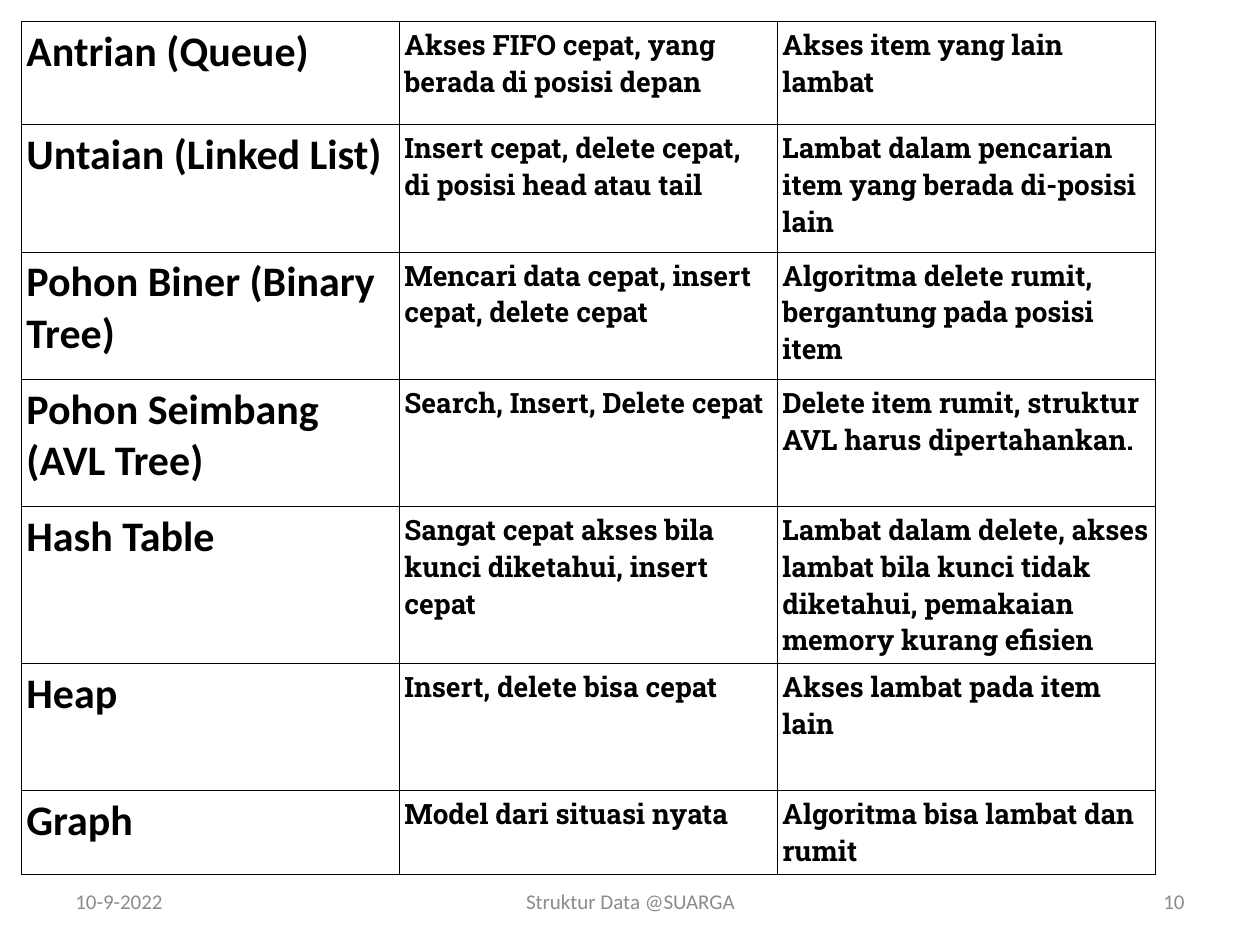
from dataclasses import dataclass

from lxml.etree import SubElement
from pptx import Presentation
from pptx.dml.color import RGBColor as RGB
from pptx.enum.text import MSO_ANCHOR as Anchor, PP_ALIGN as Align
from pptx.oxml.ns import qn
from pptx.util import Inches, Pt


@dataclass(frozen=True)
class Theme:
    """Colours, fonts and type sizes of the slide."""
    ink: RGB = RGB(0x00, 0x00, 0x00)
    muted: RGB = RGB(0x8C, 0x8C, 0x8C)
    sans: str = "Calibri"
    slab: str = "Roboto Slab"
    name_size: int = 24
    body_size: int = 16
    footer_size: int = 12
    border: float = 0.5


THEME = Theme()
NAME = dict(name=THEME.sans, size=Pt(THEME.name_size), bold=True)
BODY = dict(name=THEME.slab, size=Pt(THEME.body_size), bold=True)
FOOTER = dict(name=THEME.sans, size=Pt(THEME.footer_size), bold=False)
INSETS = {f"margin_{side}": Inches(0.04) for side in ("left", "top", "right", "bottom")}

ROWS = [
    (0.82, "Antrian (Queue)", "Akses FIFO cepat, yang berada di posisi depan",
     "Akses item yang lain lambat"),
    (1.01, "Untaian (Linked List)", "Insert cepat, delete cepat, di posisi head atau tail",
     "Lambat dalam pencarian item yang berada di-posisi lain"),
    (1.01, "Pohon Biner (Binary Tree)", "Mencari data cepat, insert cepat, delete cepat",
     "Algoritma delete rumit, bergantung pada posisi item"),
    (1.01, "Pohon Seimbang (AVL Tree)", "Search, Insert, Delete cepat",
     "Delete item rumit, struktur AVL harus dipertahankan."),
    (1.01, "Hash Table", "Sangat cepat akses bila kunci diketahui, insert cepat",
     "Lambat dalam delete, akses lambat bila kunci tidak diketahui, "
     "pemakaian memory kurang efisien"),
    (1.01, "Heap", "Insert, delete bisa cepat", "Akses lambat pada item lain"),
    (0.66, "Graph", "Model dari situasi nyata", "Algoritma bisa lambat dan rumit"),
]
FOOTERS = [
    (7.17, 2.33, "10", Align.RIGHT),
    (0.5, 2.33, "10-9-2022", Align.LEFT),
    (3.42, 3.17, "Struktur Data @SUARGA", Align.CENTER),
]


def apply(target, values):
    """Set each attribute of target from a dict."""
    for key, value in values.items():
        setattr(target, key, value)


def write(tf, text, font, color, align=Align.LEFT):
    """Put one formatted run in a text frame."""
    p = tf.paragraphs[0]
    p.alignment = align
    r = p.add_run()
    r.text = text
    apply(r.font, font)
    r.font.color.rgb = color


def add_borders(cell):
    """Draw a thin line on all four sides of a cell."""
    tc_pr = cell._tc.get_or_add_tcPr()
    for side in ("lnL", "lnR", "lnT", "lnB"):
        ln = SubElement(tc_pr, qn(f"a:{side}"), w=str(Pt(THEME.border)))
        fill = SubElement(ln, qn("a:solidFill"))
        SubElement(fill, qn("a:srgbClr"), val=str(THEME.ink))


def add_comparison(s):
    """Add the table of data structures with their strengths and weaknesses."""
    height = sum(row[0] for row in ROWS)
    table = s.shapes.add_table(len(ROWS), 3, Inches(0.17), Inches(0.17),
                               Inches(9), Inches(height)).table
    apply(table, dict(first_row=False, horz_banding=False))
    for row, (row_height, *texts) in zip(table.rows, ROWS):
        row.height = Inches(row_height)
        for cell, text, font in zip(row.cells, texts, (NAME, BODY, BODY)):
            apply(cell, INSETS)
            add_borders(cell)
            cell.fill.background()
            write(cell.text_frame, text, font, THEME.ink)


def add_footer(s, left, width, text, align):
    """Add one footer text box."""
    tf = s.shapes.add_textbox(Inches(left), Inches(6.95), Inches(width), Inches(0.4)).text_frame
    apply(tf, dict(word_wrap=True, vertical_anchor=Anchor.MIDDLE))
    write(tf, text, FOOTER, THEME.muted, align)


def main():
    """Build the slide and save it."""
    prs = Presentation()
    apply(prs, dict(slide_width=Inches(10), slide_height=Inches(7.5)))
    s = prs.slides.add_slide(prs.slide_layouts[6])
    add_comparison(s)
    for footer in FOOTERS:
        add_footer(s, *footer)
    prs.save("out.pptx")


if __name__ == "__main__":
    main()
